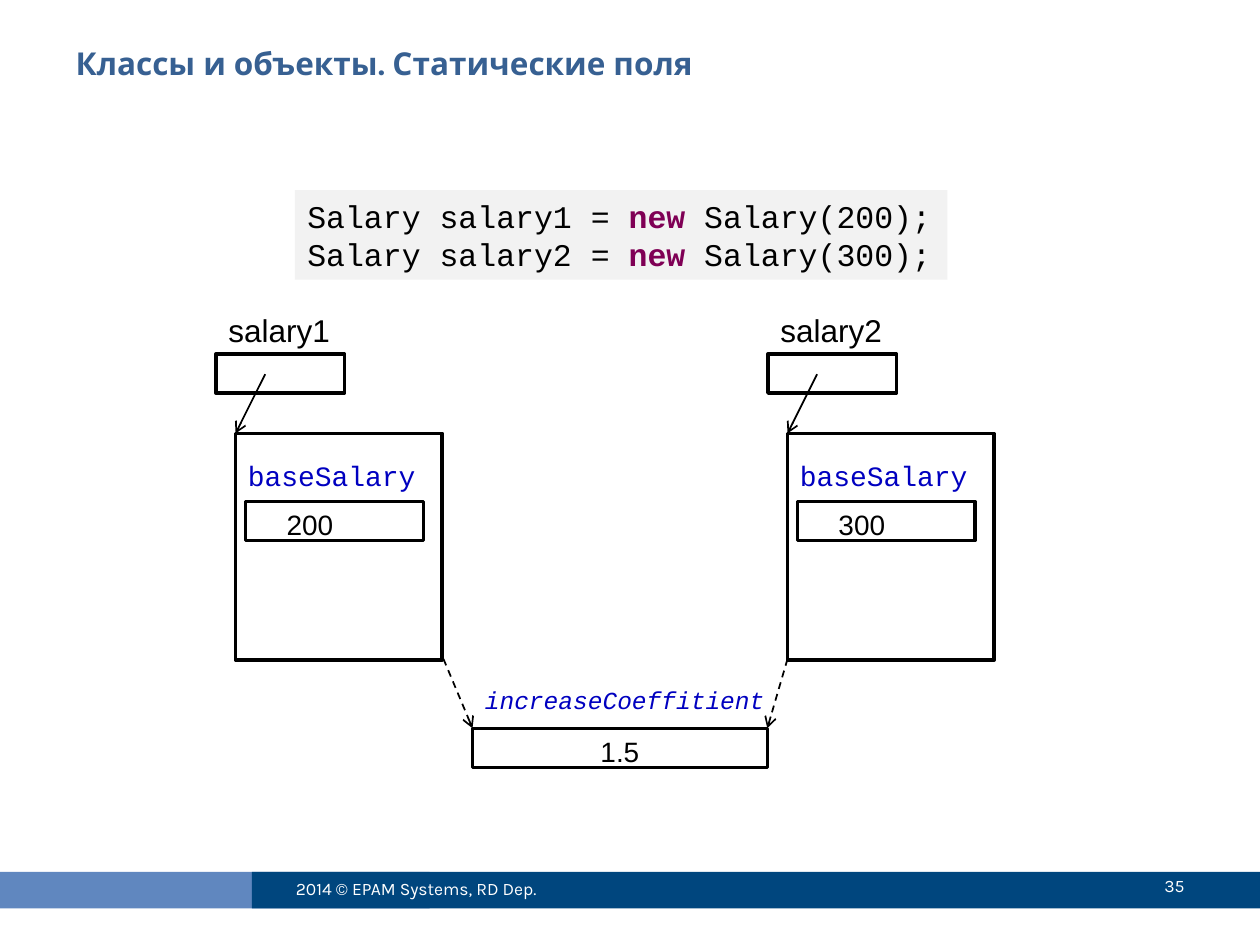
import pptx
import pptx.util
import pptx.dml.color
import pptx.enum.dml
import pptx.enum.shapes
import pptx.enum.text
import pptx.oxml

THEME = {
    "title": "376092", "black": "000000", "white": "FFFFFF",
    "code": "F2F2F2", "key": "7F0055", "field": "0000C0",
    "pale": "6087BF", "deep": "00467E",
    "sans": "Arial", "mono": "Courier New", "head": "Karla",
    "big": 18, "mid": 16, "low": 14, "tiny": 10,
}
ALIGN = pptx.enum.text.PP_ALIGN
ANCHOR = pptx.enum.text.MSO_ANCHOR
FIT = pptx.enum.text.MSO_AUTO_SIZE
RECT = pptx.enum.shapes.MSO_SHAPE.RECTANGLE
STRAIGHT = pptx.enum.shapes.MSO_CONNECTOR.STRAIGHT
DASH = pptx.enum.dml.MSO_LINE.DASH
RGB = pptx.dml.color.RGBColor.from_string

deck = pptx.Presentation()
deck.slide_width = pptx.util.Inches(10)
deck.slide_height = pptx.util.Inches(7.5)
slide = deck.slides.add_slide(deck.slide_layouts[5])

# Grid of 100 columns by 75 rows
COL = deck.slide_width / 100
ROW = deck.slide_height / 75


def write(text, at, item=None, fill=None, line=None, font="sans", size="mid",
          color="black", bold=False, italic=False, align=ALIGN.LEFT,
          anchor=ANCHOR.TOP, fit=FIT.NONE, wrap=True, key=None):
    """Put text in a placeholder, a framed or filled box, or a plain text box."""
    left, top, width, height = at
    place = [int(n) for n in (left * COL, top * ROW, width * COL, height * ROW)]
    if item is not None:
        item.left, item.top, item.width, item.height = place
    elif fill or line:
        item = slide.shapes.add_shape(RECT, *place)
        item.shadow.inherit = False
        item.fill.background()
        item.line.fill.background()
        if fill:
            item.fill.solid()
            item.fill.fore_color.rgb = RGB(THEME[fill])
        if line:
            item.line.color.rgb = RGB(THEME["black"])
            item.line.width = pptx.util.Pt(line)
    else:
        item = slide.shapes.add_textbox(*place)
    if not text:
        return
    frame = item.text_frame
    frame.word_wrap, frame.auto_size = wrap, fit
    frame.vertical_anchor = anchor
    for i, row in enumerate(text.split("\n")):
        para = frame.paragraphs[0] if i == 0 else frame.add_paragraph()
        para.alignment = align
        for part in row.partition(key) if key else [row]:
            run = para.add_run()
            run.text = part
            run.font.name = THEME[font]
            run.font.size = pptx.util.Pt(THEME[size])
            run.font.bold = bold or part == key
            run.font.italic = italic
            run.font.color.rgb = RGB(THEME["key" if part == key else color])


def arrow(x1, y1, x2, y2, dash=None):
    """Draw a thin line with an open arrowhead at its end."""
    link = slide.shapes.add_connector(
        STRAIGHT, int(x1 * COL), int(y1 * ROW), int(x2 * COL), int(y2 * ROW))
    link.line.color.rgb = RGB(THEME["black"])
    link.line.width = pptx.util.Pt(1)
    if dash:
        link.line.dash_style = dash
    space = pptx.oxml.ns.nsdecls("a")
    link.line._get_or_add_ln().append(
        pptx.oxml.parse_xml(f'<a:tailEnd {space} type="arrow"/>'))
    link._element.spPr.append(pptx.oxml.parse_xml(f"<a:effectLst {space}/>"))


# Footer band
write("", (0, 69.2, 34.1, 2.9), fill="pale")
write("", (20, 69.2, 80, 2.9), fill="deep")
foot = dict(font="head", size="tiny", color="white", anchor=ANCHOR.MIDDLE)
write("2014 © EPAM Systems, RD Dep.", (22.5, 68.5, 26.7, 4), **foot)
write("35", (84.2, 68.3, 10.8, 4), align=ALIGN.RIGHT, **foot)

# Title
write("Классы и объекты. Статические поля", (5, 3, 90, 7.8),
      item=slide.shapes.title, font="head", size="big", color="title", bold=True)

# Code
write("Salary salary1 = new Salary(200);\nSalary salary2 = new Salary(300);",
      (23.4, 15.1, 51.8, 7.1), fill="code", font="mono", size="big",
      anchor=ANCHOR.MIDDLE, fit=FIT.SHAPE_TO_FIT_TEXT, wrap=False, key="new")

# Two objects, each with its reference and its own field
grow = dict(fit=FIT.SHAPE_TO_FIT_TEXT)
for x, name, value in ((18.7, "salary1", "200"), (62.5, "salary2", "300")):
    write("", (x, 34.4, 16.4, 18), line=2)
    write("", (x + 0.8, 39.8, 14.1, 3.1), line=2)
    write("baseSalary", (x, 35.9, 18, 3.7), font="mono", color="field", **grow)
    write("", (x - 1.55, 28.1, 10.2, 3.1), line=2)
    arrow(x + 2.35, 29.7, x, 34.4)
    write(value, (x + 1.6, 39.8, 8.6, 3.7), align=ALIGN.CENTER, **grow)
    write(name, (x - 1.55, 24.2, 13.3, 4), size="big", **grow)

# Static field shared by both objects
write("", (37.5, 57.8, 23.4, 3.1), line=2)
write("increaseCoeffitient", (37.5, 53.9, 25, 3.4), font="mono", size="low",
      color="field", italic=True, **grow)
write("1.5", (39.8, 57.8, 18.8, 3.7), align=ALIGN.CENTER, **grow)
arrow(35.2, 52.3, 37.5, 57.8, DASH)
arrow(62.5, 52.3, 60.9, 57.8, DASH)

deck.save("out.pptx")
